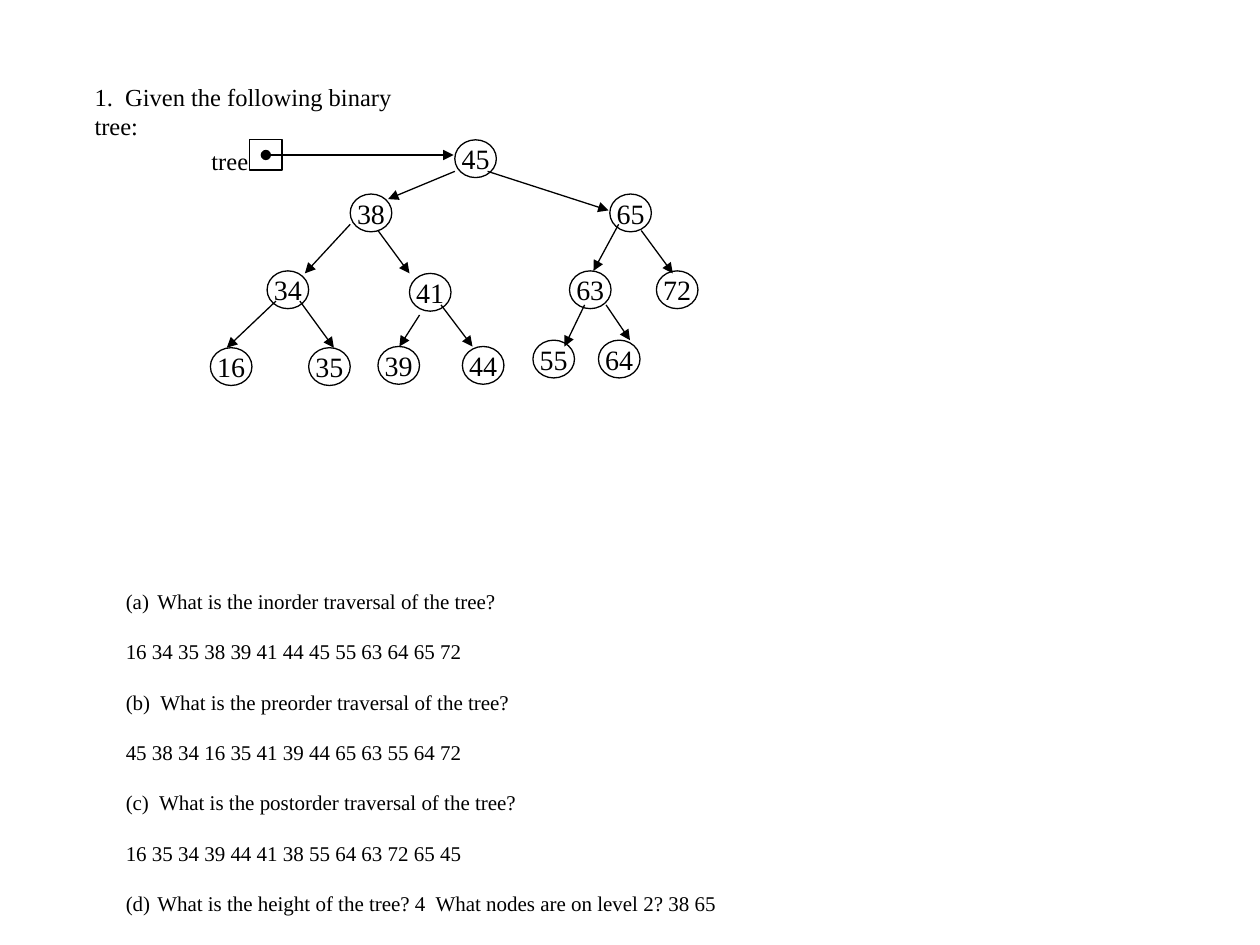
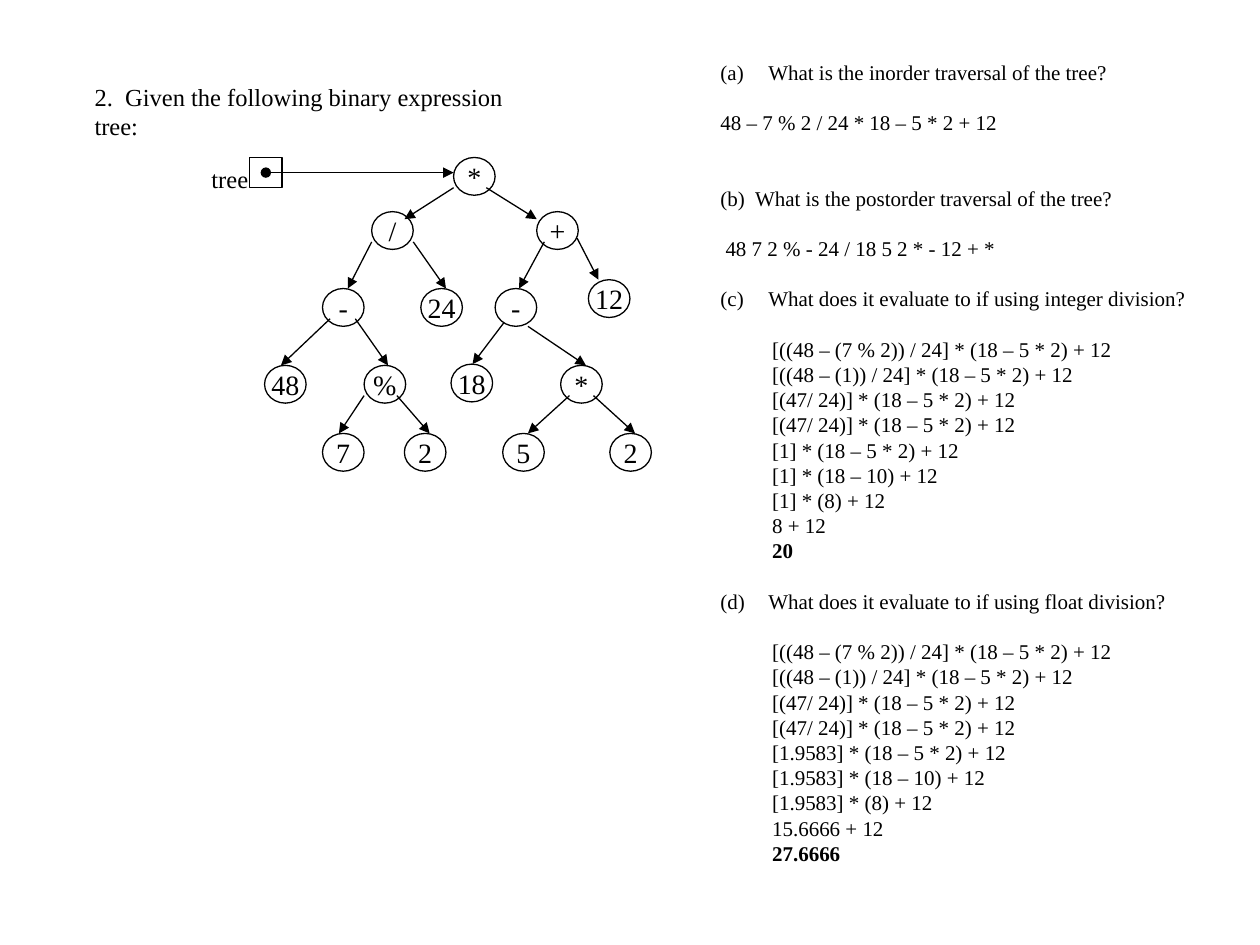
import pptx
import pptx.util
import pptx.dml.color
import pptx.enum.shapes
import pptx.enum.text
import pptx.oxml.ns
import pptx.oxml.xmlchemy
from pptx.util import Inches

BLACK = pptx.dml.color.RGBColor(0x00, 0x00, 0x00)
FONT = "Times New Roman"
NODE_W, NODE_H = 0.33, 0.3
LINE_PT = 14.4
TITLE_ONLY = 5


class TreeDeck:
    """Holds the shared style and the slide being built."""

    def __init__(self):
        self.deck = pptx.Presentation()
        self.deck.slide_width = Inches(10)
        self.deck.slide_height = Inches(7.5)
        self.slide = None

    def add_run(self, paragraph, text, size, bold=False):
        run = paragraph.add_run()
        run.text = text
        run.font.name = FONT
        run.font.size = pptx.util.Pt(size)
        run.font.bold = bold
        run.font.color.rgb = BLACK

    def add_element(self, parent, tag, **attributes):
        element = pptx.oxml.xmlchemy.OxmlElement(tag)
        for name, value in attributes.items():
            element.set(name, value)
        parent.append(element)

    def start_slide(self, question, width):
        self.slide = self.deck.slides.add_slide(self.deck.slide_layouts[TITLE_ONLY])
        title = self.slide.shapes.title
        title.left, title.top = Inches(0.65), Inches(0.6)
        title.width, title.height = Inches(width), Inches(0.6)
        frame = title.text_frame
        frame.word_wrap = True
        frame.auto_size = pptx.enum.text.MSO_AUTO_SIZE.NONE
        frame.vertical_anchor = pptx.enum.text.MSO_ANCHOR.TOP
        frame.paragraphs[0].alignment = pptx.enum.text.PP_ALIGN.LEFT
        frame.paragraphs[0].line_spacing = pptx.util.Pt(16.8)
        self.add_run(frame.paragraphs[0], question, 14)

    def outline_shape(self, kind, left, top, width, height):
        shape = self.slide.shapes.add_shape(
            kind, Inches(left), Inches(top), Inches(width), Inches(height))
        shape.shadow.inherit = False
        shape.fill.background()
        shape.line.color.rgb = BLACK
        shape.line.width = pptx.util.Pt(0.75)
        return shape

    def node(self, value, left, top):
        circle = self.outline_shape(
            pptx.enum.shapes.MSO_SHAPE.OVAL, left, top, NODE_W, NODE_H)
        frame = circle.text_frame
        frame.word_wrap = False
        frame.vertical_anchor = pptx.enum.text.MSO_ANCHOR.MIDDLE
        frame.paragraphs[0].alignment = pptx.enum.text.PP_ALIGN.CENTER
        self.add_run(frame.paragraphs[0], value, 16)

    def arrow(self, x1, y1, x2, y2, from_dot=False):
        link = self.slide.shapes.add_connector(
            pptx.enum.shapes.MSO_CONNECTOR.STRAIGHT,
            Inches(x1), Inches(y1), Inches(x2), Inches(y2))
        link.line.color.rgb = BLACK
        link.line.width = pptx.util.Pt(0.75)
        properties = link._element.spPr
        line = properties.find(pptx.oxml.ns.qn("a:ln"))
        if from_dot:
            self.add_element(line, "a:headEnd", type="oval")
        self.add_element(line, "a:tailEnd", type="triangle")
        self.add_element(properties, "a:effectLst")

    def root_pointer(self, top):
        """The labelled pointer box and its arrow to the root node."""
        self.outline_shape(
            pptx.enum.shapes.MSO_SHAPE.RECTANGLE, 1.98, top, 0.26, 0.24)
        label = self.slide.shapes.add_textbox(
            Inches(1.58), Inches(top), Inches(0.6), Inches(0.33))
        label.text_frame.word_wrap = True
        label.text_frame.paragraphs[0].line_spacing = pptx.util.Pt(16.8)
        self.add_run(label.text_frame.paragraphs[0], "tree", 14)
        self.arrow(2.11, top + 0.12, 3.6, top + 0.12, from_dot=True)

    def tree(self, top, nodes, arrows):
        for value, left, node_top in nodes:
            self.node(value, left, node_top)
        for ends in arrows:
            self.arrow(*ends)
        self.root_pointer(top)

    def answers(self, left, top, width, height, lines, hanging):
        """Lines are (text, blank lines before, options)."""
        box = self.slide.shapes.add_textbox(
            Inches(left), Inches(top), Inches(width), Inches(height))
        frame = box.text_frame
        frame.word_wrap = True
        for index, (text, gap, options) in enumerate(lines):
            paragraph = frame.paragraphs[0] if index == 0 else frame.add_paragraph()
            paragraph.line_spacing = pptx.util.Pt(LINE_PT)
            paragraph.space_before = pptx.util.Pt(gap * LINE_PT)
            self.add_run(paragraph, text, 12, options.get("bold", False))
            properties = paragraph._p.get_or_add_pPr()
            if "number" in options:
                properties.set("marL", str(Inches(hanging)))
                properties.set("indent", str(-Inches(hanging)))
                self.add_element(properties, "a:buAutoNum", type="alphaLcParenBoth",
                                 startAt=str(options["number"]))
            else:
                properties.set("marL", str(Inches(options.get("indent", 0))))


def evaluation(steps):
    """Indented working, with the result in bold on the last line."""
    last = len(steps) - 1
    return [(step, int(i == 0), {"indent": 0.41, "bold": i == last})
            for i, step in enumerate(steps)]


def build_search_tree(deck):
    deck.start_slide("1.  Given the following binary tree:", 2.9)
    nodes = [
        ("45", 3.61, 1.11),
        ("38", 2.78, 1.54), ("65", 4.84, 1.54),
        ("34", 2.12, 2.15), ("41", 3.25, 2.17), ("63", 4.52, 2.15), ("72", 5.21, 2.15),
        ("16", 1.67, 2.76), ("35", 2.45, 2.76), ("39", 3, 2.75), ("44", 3.67, 2.75),
        ("55", 4.23, 2.7), ("64", 4.75, 2.7),
    ]
    arrows = [
        (3.61, 1.36, 3.08, 1.58), (3.87, 1.36, 4.83, 1.67),
        (2.78, 1.78, 2.42, 2.17), (3, 1.83, 3.25, 2.17),
        (4.91, 1.78, 4.71, 2.15), (5.09, 1.83, 5.34, 2.17),
        (2.19, 2.39, 1.8, 2.76), (2.38, 2.39, 2.65, 2.76),
        (3.33, 2.5, 3.17, 2.75), (3.5, 2.42, 3.75, 2.75),
        (4.64, 2.42, 4.48, 2.75), (4.81, 2.42, 5, 2.7),
    ]
    deck.tree(1.11, nodes, arrows)

    # Traversals and levels
    deck.answers(0.9, 4.62, 5.2, 2.8, [
        ("What is the inorder traversal of the tree?", 0, {"number": 1}),
        ("16 34 35 38 39 41 44 45 55 63 64 65 72", 1, {}),
        ("(b)  What is the preorder traversal of the tree?", 1, {}),
        ("45 38 34 16 35 41 39 44 65 63 55 64 72", 1, {}),
        ("(c)  What is the postorder traversal of the tree?", 1, {}),
        ("16 35 34 39 44 41 38 55 64 63 72 65 45", 1, {}),
        ("What is the height of the tree? 4  What nodes are on level 2? 38 65",
         1, {"number": 4}),
    ], hanging=0.25)


def build_expression_tree(deck):
    deck.start_slide("2.  Given the following binary expression tree:", 3.75)
    nodes = [
        ("*", 3.6, 1.25),
        ("/", 2.95, 1.68), ("+", 4.26, 1.68),
        ("-", 2.56, 2.29), ("24", 3.34, 2.29), ("-", 3.93, 2.29), ("12", 4.67, 2.22),
        ("48", 2.1, 2.9), ("%", 2.89, 2.9), ("18", 3.58, 2.89), ("*", 4.45, 2.9),
        ("7", 2.56, 3.44), ("2", 3.21, 3.44), ("5", 3.99, 3.44), ("2", 4.84, 3.44),
    ]
    arrows = [
        (3.6, 1.49, 3.21, 1.74), (3.86, 1.49, 4.26, 1.74),
        (2.95, 1.92, 2.76, 2.29), (3.28, 1.92, 3.54, 2.29),
        (4.32, 1.92, 4.12, 2.29), (4.58, 1.89, 4.75, 2.22),
        (2.62, 2.53, 2.23, 2.9), (2.82, 2.53, 3.08, 2.9),
        (4, 2.56, 3.75, 2.89), (4.19, 2.59, 4.65, 2.9),
        (2.89, 3.14, 2.69, 3.44), (3.15, 3.14, 3.41, 3.44),
        (4.52, 3.14, 4.19, 3.44), (4.71, 3.14, 5.04, 3.44),
    ]
    deck.tree(1.25, nodes, arrows)

    # Traversals, then the value under each kind of division
    shared_steps = [
        "[((48 – (7 % 2)) / 24] * (18 – 5 * 2) + 12",
        "[((48 – (1)) / 24] * (18 – 5 * 2) + 12",
        "[(47/ 24)] * (18 – 5 * 2) + 12",
        "[(47/ 24)] * (18 – 5 * 2) + 12",
    ]

    def working(quotient, total, result):
        rest = ["(18 – 5 * 2)", "(18 – 10)", "(8)"]
        return evaluation(
            shared_steps + [f"[{quotient}] * {part} + 12" for part in rest]
            + [f"{total} + 12", result])

    deck.answers(5.62, 0.42, 4.2, 6.9, [
        ("What is the inorder traversal of the tree?", 0, {"number": 1}),
        ("48 – 7 % 2 / 24 * 18 – 5 * 2 + 12", 1, {}),
        ("(b)  What is the postorder traversal of the tree?", 2, {}),
        ("48 7 2 % - 24 / 18 5 2 * - 12 + *", 1, {"indent": 0.04}),
        ("What does it evaluate to if using integer division?", 1, {"number": 3}),
        *working("1", "8", "20"),
        ("What does it evaluate to if using float division?", 1, {"number": 4}),
        *working("1.9583", "15.6666", "27.6666"),
    ], hanging=0.38)


def main():
    deck = TreeDeck()
    build_search_tree(deck)
    build_expression_tree(deck)
    deck.deck.save("out.pptx")


if __name__ == "__main__":
    main()
